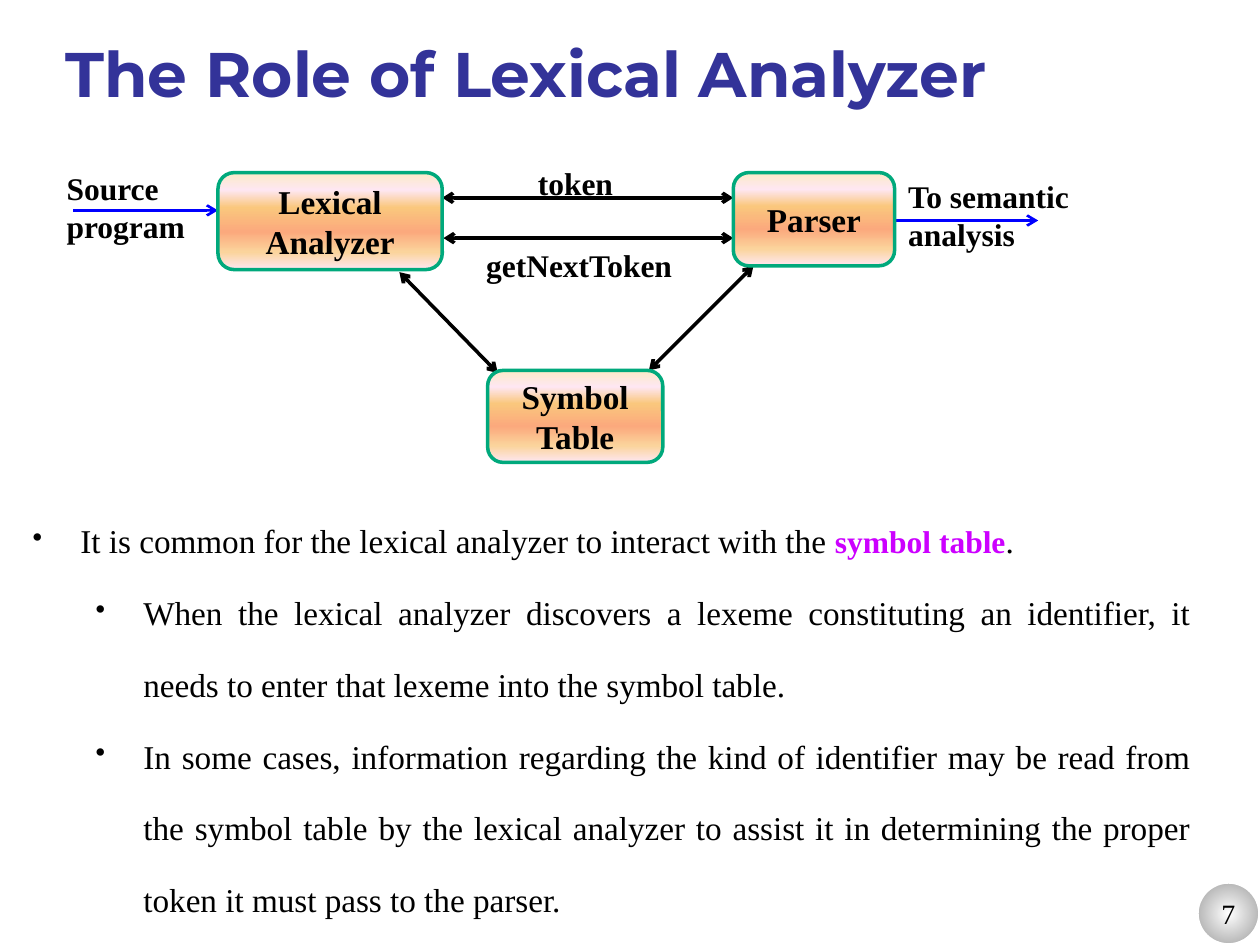
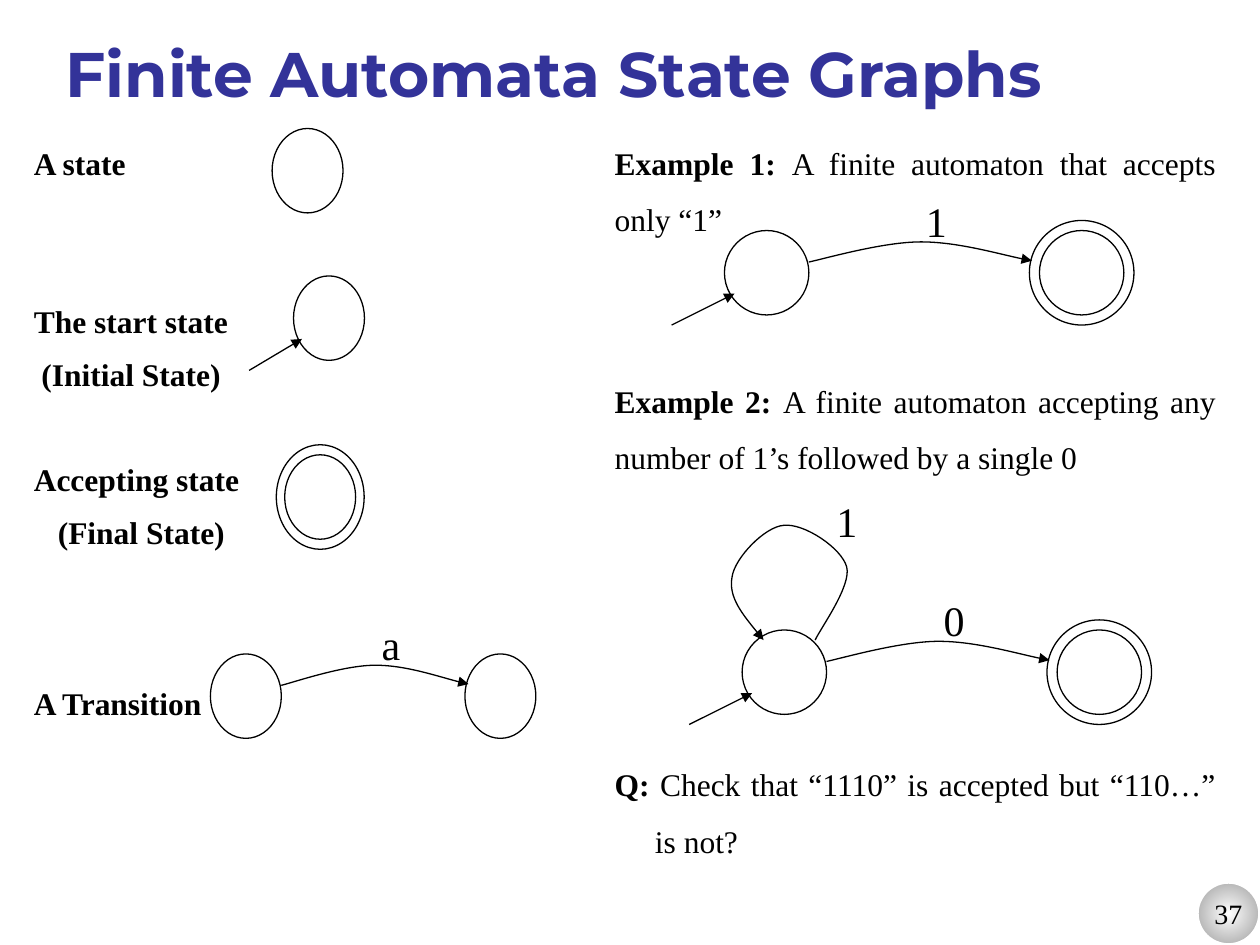
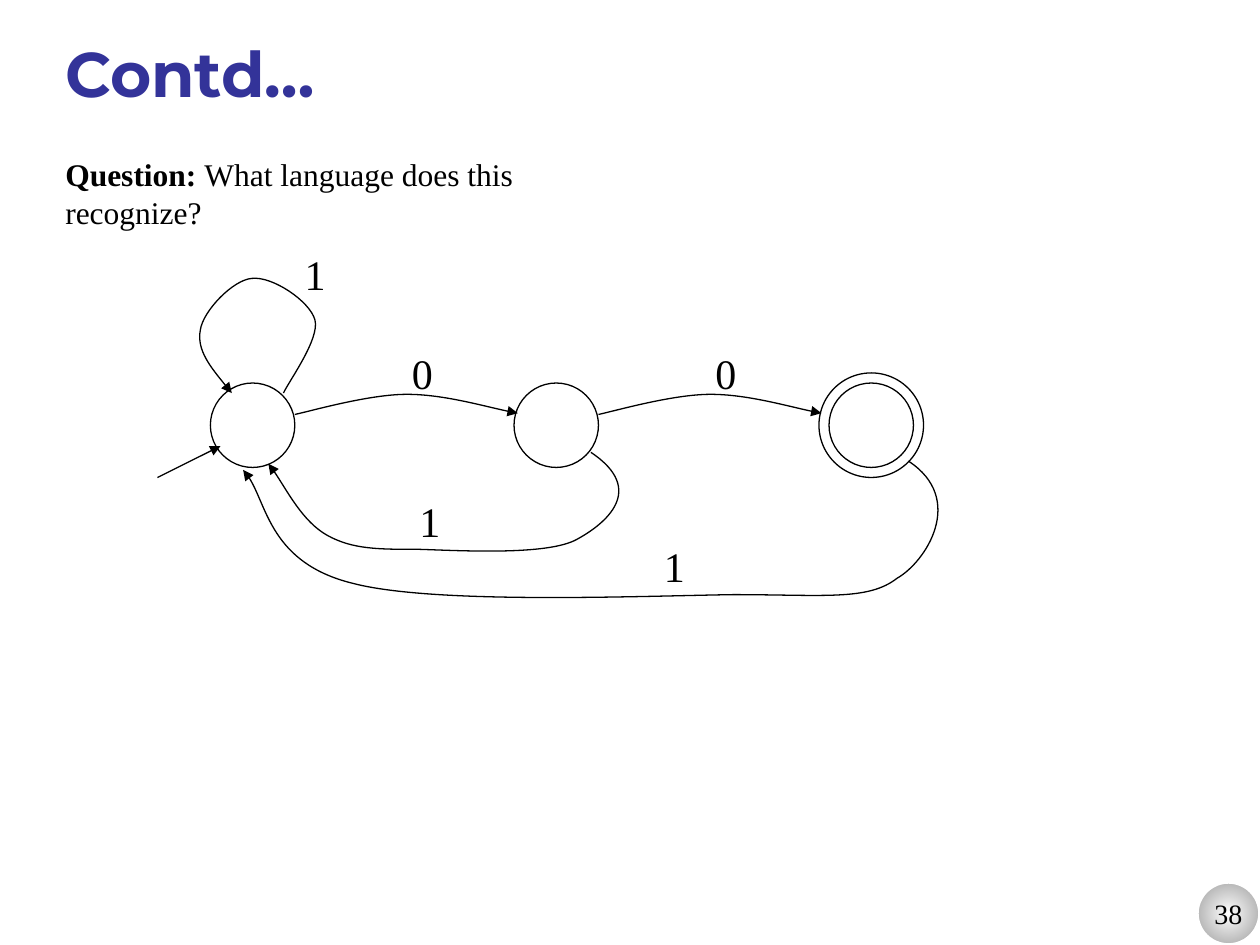
"""Builds three slides on lexical analysis and finite automata."""
from lxml.etree import SubElement
from pptx import Presentation
from pptx.dml.color import RGBColor
from pptx.enum.shapes import MSO_CONNECTOR, MSO_SHAPE
from pptx.enum.text import MSO_ANCHOR, MSO_AUTO_SIZE, PP_ALIGN
from pptx.oxml import parse_xml
from pptx.oxml.ns import nsdecls, qn
from pptx.util import Inches, Pt

deck = Presentation()
deck.slide_width, deck.slide_height = Inches(10), Inches(7.5)
unit = deck.slide_width // 10
hue = RGBColor.from_string
BLACK, NAVY, BLUE, GREEN, PINK = "000000", "333399", "0000FF", "00A97C", "CC00FF"
PEACH = [(0, "FBEAC7"), (18, "FEE7F2"), (36, "FAC77D"), (61, "FBA97D"), (82, "FBD49C"), (100, "FEE7F2")]
SILVER = [(0, "FFFFFF"), (100, "979797")]
DOWN = '<a:lin ang="5400000" scaled="1"/>'
ROUND = '<a:path path="circle"><a:fillToRect l="50000" t="50000" r="50000" b="50000"/></a:path>'


def ink(shape, tint=BLACK, width=0.75, head=None, tail=None, stops=None, sweep=DOWN):
    """Sets line, arrowheads and, if stops are given, a gradient fill."""
    props = shape._element.spPr
    if stops:
        marks = "".join(f'<a:gs pos="{at * 1000}"><a:srgbClr val="{tone}"/></a:gs>' for at, tone in stops)
        blend = parse_xml(f'<a:gradFill {nsdecls("a")}><a:gsLst>{marks}</a:gsLst>{sweep}</a:gradFill>')
        shape.fill.background()
        props.replace(props.find(qn("a:noFill")), blend)
    shape.line.color.rgb = hue(tint)
    shape.line.width = Pt(width)
    for tag, kind in (("a:headEnd", head), ("a:tailEnd", tail)):
        if kind:
            SubElement(props.find(qn("a:ln")), qn(tag), type=kind)
    SubElement(props, qn("a:effectLst"))


def write(shape, paras, size=18, align=PP_ALIGN.LEFT, space=1, wrap=True, face="Times New Roman", tint=BLACK):
    """Fills a shape with paragraphs of (text, bold, ...) runs."""
    frame = shape.text_frame
    frame.word_wrap = wrap
    for rank, runs in enumerate(paras):
        para = frame.add_paragraph() if rank else frame.paragraphs[0]
        para.alignment, para.line_spacing = align, space
        for text, bold, *tone in runs:
            run = para.add_run()
            run.text = text
            font = run.font
            font.name, font.size, font.bold = face, Pt(size), bold
            font.color.rgb = hue(tone[0] if tone else tint)
    return frame


pages = []
for title, number in (("The Role of Lexical Analyzer", "7"), ("Finite Automata State Graphs", "37"), ("Contd…", "38")):
    page = deck.slides.add_slide(deck.slide_layouts[6]).shapes
    pages.append(page)
    badge = page.add_shape(MSO_SHAPE.OVAL, *[int(unit * v) for v in (9.5, 7, 0.5, 0.5)])
    ink(badge, "FFFFFF", 2, stops=SILVER, sweep=ROUND)
    write(badge, [[(number, False)]], 16, PP_ALIGN.CENTER, wrap=False).vertical_anchor = MSO_ANCHOR.MIDDLE
    head = page.add_textbox(*[int(unit * v) for v in (0.42, 0.25, 9.17, 0.67)])
    write(head, [[(title, True)]], 36, face="Montserrat", tint=NAVY).vertical_anchor = MSO_ANCHOR.BOTTOM
role, graphs, more = pages

for start, end, tint, width, head in (
    ((0.58, 1.67), (1.73, 1.67), BLUE, 1.5, None),
    ((7.08, 1.75), (8.24, 1.75), BLUE, 1.5, None),
    ((3.51, 1.57), (5.82, 1.57), BLACK, 2, "arrow"),
    ((5.82, 1.89), (3.52, 1.89), BLACK, 2, "arrow"),
    ((3.17, 2.16), (3.95, 2.96), BLACK, 2, "arrow"),
    ((5.98, 2.11), (5.15, 2.94), BLACK, 2, "arrow"),
):
    arrow = role.add_connector(MSO_CONNECTOR.STRAIGHT, *[int(unit * v) for v in start + end])
    ink(arrow, tint, width, head, "arrow")

for place, lines in (
    ((1.73, 1.37, 1.78, 0.77), ["Lexical Analyzer"]),
    ((5.82, 1.37, 1.28, 0.74), ["Parser"]),
    ((3.87, 2.94, 1.39, 0.73), ["Symbol", "Table"]),
):
    block = role.add_shape(MSO_SHAPE.ROUNDED_RECTANGLE, *[int(unit * v) for v in place])
    ink(block, GREEN, 2, stops=PEACH)
    write(block, [[(line, True)] for line in lines], 19, PP_ALIGN.CENTER).vertical_anchor = MSO_ANCHOR.MIDDLE

notes = [
    (role, (0.43, 1.29, 1.14, 0.7), ["Source", "program"], 18, True),
    (role, (4.17, 1.25, 0.82, 0.4), ["token"], 18, True),
    (role, (3.76, 1.9, 1.71, 0.4), ["getNextToken"], 18, True),
    (role, (7.11, 1.36, 1.5, 0.7), ["To semantic", "analysis"], 18, True),
    (more, (3.23, 3.88, 0.37, 0.5), ["1"], 24, False),
    (more, (5.17, 4.24, 0.37, 0.5), ["1"], 24, False),
]

body = role.add_textbox(*[int(unit * v) for v in (0.16, 3.83, 9.39, 3.67)])
points = [
    [("It is common for the lexical analyzer to interact with the ", False), ("symbol table", True, PINK), (".", False)],
    [("When the lexical analyzer discovers a lexeme constituting an identifier, it needs to enter that lexeme "
      "into the symbol table.", False)],
    [("In some cases, information regarding the kind of identifier may be read from the symbol table by the "
      "lexical analyzer to assist it in determining the proper token it must pass to the parser.", False)],
]
frame = write(body, points, 19, PP_ALIGN.JUSTIFY, 1.8)
frame.paragraphs[0].runs[1].font.size = Pt(18)
for para, left in zip(frame.paragraphs, (0.38, 0.88, 0.88)):
    props = para._p.get_or_add_pPr()
    props.set("marL", str(int(unit * left)))
    props.set("indent", str(int(unit * -0.38)))
    SubElement(props, qn("a:buSzPct"), val="85000")
    SubElement(props, qn("a:buChar"), char="•")

terms = (
    ("A state", 0, 0),
    ("The start state", 60.5, 0),
    ("(Initial State)", 0, 0.06),
    ("Accepting state", 29.5, 0),
    ("(Final State)", 0, 0.19),
    ("A Transition", 67.5, 0),
)
legend = graphs.add_textbox(*[int(unit * v) for v in (0.17, 0.79, 4.25, 6.38)])
frame = write(legend, [[(text, True)] for text, gap, inset in terms], align=PP_ALIGN.JUSTIFY, space=1.4)
frame.margin_top = int(unit * 0.23)
for para, (text, gap, inset) in zip(frame.paragraphs, terms):
    para._p.get_or_add_pPr().set("marL", str(int(unit * inset)))
    if gap:
        para.space_before = Pt(gap)

for page, place, tasks, align, space in (
    (graphs, (4.78, 0.94, 4.97, 0.98),
     [("Example 1: ", "A finite automaton that accepts only “1”")], PP_ALIGN.JUSTIFY, 1.5),
    (graphs, (4.78, 2.83, 4.97, 1),
     [("Example 2: ", "A finite automaton accepting any number of 1’s followed by a single 0"),
      ("Q: ", "Check that “1110” is accepted but “110…” is not?")], PP_ALIGN.JUSTIFY, 1.5),
    (more, (0.42, 1.18, 4.49, 0.4),
     [("Question: ", "What language does this recognize?")], PP_ALIGN.LEFT, 1),
):
    task = page.add_textbox(*[int(unit * v) for v in place])
    frame = write(task, [[(lead, True), (text, False)] for lead, text in tasks], align=align, space=space)
    for para in frame.paragraphs[1:]:
        para.space_before = Pt(154.5)
        props = para._p.get_or_add_pPr()
        props.set("marL", str(int(unit * 0.32)))
        props.set("indent", str(int(unit * -0.32)))

HOP = [(0.67, 0.25), (0.81, 0.22), (1.26, 0.09), (1.56, 0.09), (1.85, 0.09), (2.26, 0.21), (2.44, 0.24)]
LOOP = [(0.58, 0.08), (0.62, -0.01), (0.87, -0.35), (0.83, -0.5), (0.79, -0.65), (0.49, -0.85), (0.33, -0.83),
        (0.18, -0.82), (-0.06, -0.57), (-0.08, -0.42), (-0.11, -0.26), (0.03, -0.09), (0.17, 0.08)]
curves = [
    (more, [(4.69, 3.59), (5.14, 3.89), (4.8, 4.16), (4.58, 4.28), (4.35, 4.41), (3.66, 4.37), (3.33, 4.36),
            (3, 4.36), (2.8, 4.36), (2.6, 4.25), (2.4, 4.14), (2.23, 3.8), (2.13, 3.68)]),
    (more, [(7.21, 3.66), (7.67, 3.96), (7.35, 4.46), (7.12, 4.59), (6.89, 4.77), (6.54, 4.72), (5.82, 4.72),
            (5.1, 4.73), (3.45, 4.8), (2.8, 4.63), (2.15, 4.47), (2.11, 3.92), (1.93, 3.73)]),
]

for page, x, y, wide, first, final, hop, loop in (
    (graphs, 2.16, 1.02, 0.84, False, False, "", ""),
    (graphs, 2.33, 2.19, 0.84, True, False, "", ""),
    (graphs, 2.26, 3.61, 0.84, False, True, "", ""),
    (graphs, 1.67, 5.19, 0.84, False, False, "a", ""),
    (graphs, 3.69, 5.19, 0.84, False, False, "", ""),
    (graphs, 5.75, 1.83, 1, True, False, "1", ""),
    (graphs, 8.25, 1.83, 1, False, True, "", ""),
    (graphs, 5.89, 5, 1, True, False, "0", "1"),
    (graphs, 8.39, 5, 1, False, True, "", ""),
    (more, 1.67, 3.04, 1, True, False, "0", "1"),
    (more, 4.08, 3.04, 1, False, False, "0", ""),
    (more, 6.58, 3.04, 1, False, True, "", ""),
):
    for gap in (0, 0.08)[:1 + final]:
        place = (x - gap * wide, y - gap, (0.67 + 2 * gap) * wide, 0.67 + 2 * gap)
        state = page.add_shape(MSO_SHAPE.OVAL, *[int(unit * v) for v in place])
        state.fill.background()
        ink(state)
    if first:
        ends = (x - 0.42 * wide, y + 0.75, x + 0.08 * wide, y + 0.5)
        entry = page.add_connector(MSO_CONNECTOR.STRAIGHT, *[int(unit * v) for v in ends])
        ink(entry, tail="triangle")
    for label, curve, dx, dy in ((hop, HOP, 1.5, -0.33), (loop, LOOP, 0.65, -1.12)):
        if label:
            curves.append((page, [(x + px * wide, y + py) for px, py in curve]))
            notes.append((page, (x + dx * wide, y + dy, 0.37, 0.5), [label], 24, False))

for page, knots in curves:
    spots = [(int(unit * px), int(unit * py)) for px, py in knots]
    pen = page.build_freeform(*spots[0])
    pen.add_line_segments(spots[1:], close=False)
    arc = pen.convert_to_shape()
    trail = arc._element.spPr.find(".//" + qn("a:path"))
    lines = trail.findall(qn("a:lnTo"))
    for at in range(0, len(lines), 3):
        bend = SubElement(trail, qn("a:cubicBezTo"))
        for line in lines[at:at + 3]:
            bend.append(line[0])
            trail.remove(line)
    arc.fill.background()
    ink(arc, tail="triangle")

for page, place, lines, size, bold in notes:
    note = page.add_textbox(*[int(unit * v) for v in place])
    write(note, [[(line, bold)] for line in lines], size, wrap=False).auto_size = MSO_AUTO_SIZE.SHAPE_TO_FIT_TEXT

deck.save("out.pptx")
